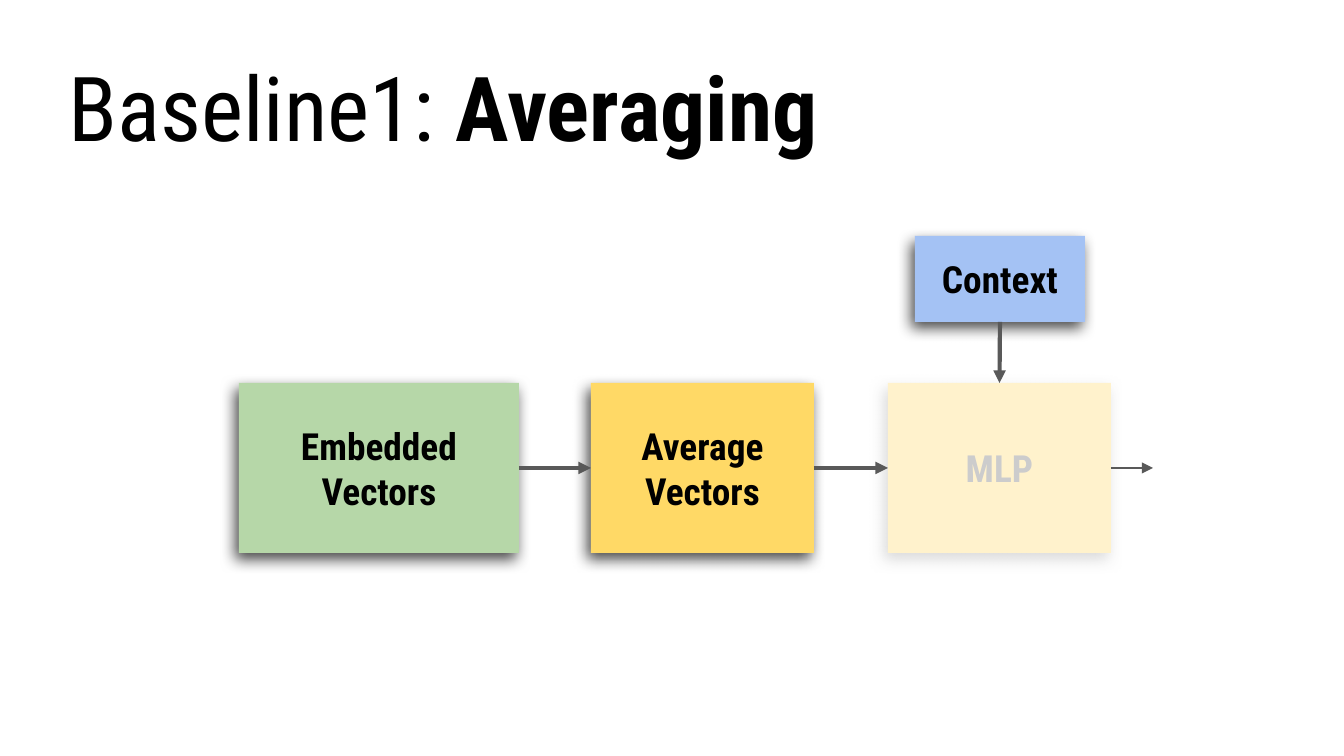
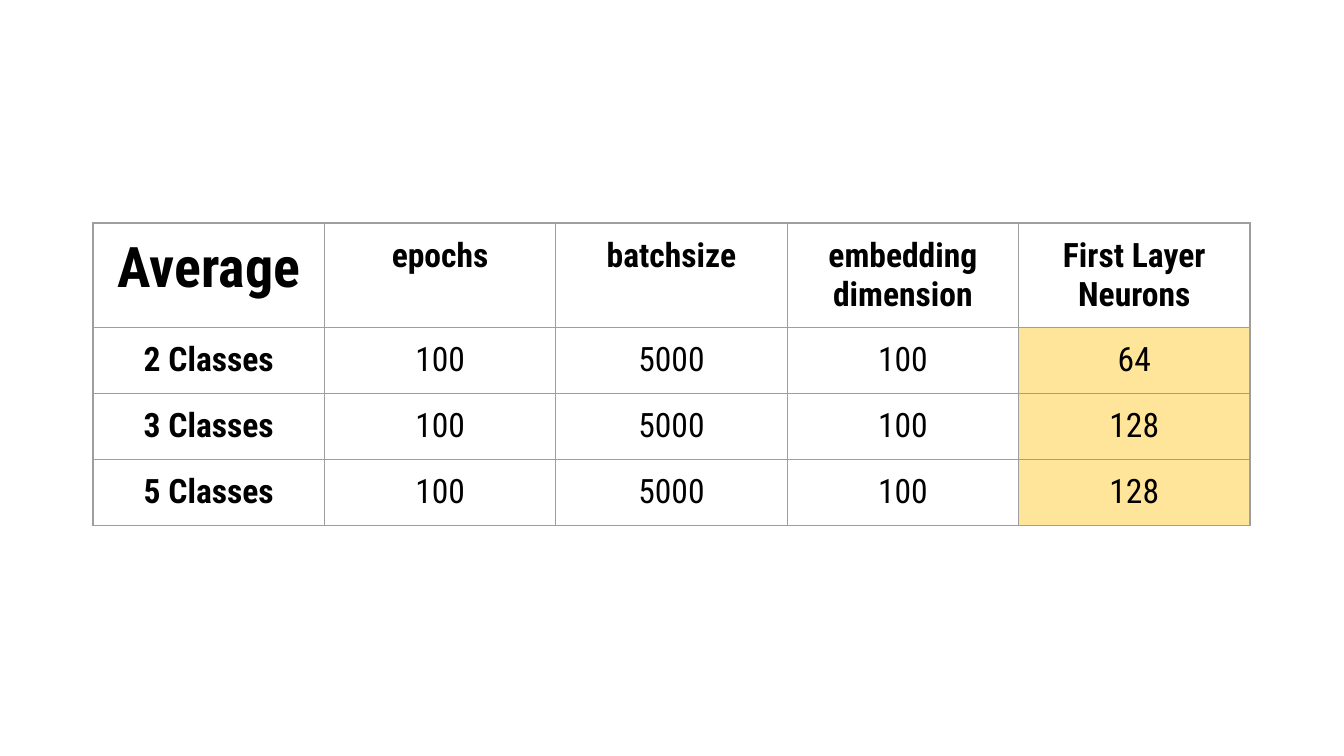
from lxml.etree import SubElement
from pptx import Presentation
from pptx.dml.color import RGBColor
from pptx.enum.shapes import MSO_CONNECTOR as Connector, MSO_SHAPE as Shape
from pptx.enum.text import MSO_ANCHOR as Anchor, PP_ALIGN as Align
from pptx.oxml.ns import qn
from pptx.util import Pt

EMU_PER_PX = 914400 / 134.4
PAGE_WIDTH, PAGE_HEIGHT = 1344, 756
INSET = 13
FONT = "Roboto Condensed"
TOP, LEFT, BOTTOM, RIGHT = range(4)

BLACK = RGBColor(0x00, 0x00, 0x00)
WHITE = RGBColor(0xFF, 0xFF, 0xFF)
ARROW_GRAY = RGBColor(0x59, 0x59, 0x59)
FADED_GRAY = RGBColor(0xCC, 0xCC, 0xCC)
BORDER_GRAY = RGBColor(0x9E, 0x9E, 0x9E)
GREEN = RGBColor(0xB6, 0xD7, 0xA8)
YELLOW = RGBColor(0xFF, 0xD9, 0x66)
PALE_YELLOW = RGBColor(0xFF, 0xF2, 0xCC)
BLUE = RGBColor(0xA4, 0xC2, 0xF4)
HIGHLIGHT = RGBColor(0xFF, 0xE5, 0x99)

TABLE_ROWS = [
    ["Average", "epochs", "batchsize", "embedding dimension", "First Layer Neurons"],
    ["2 Classes", "100", "5000", "100", "64"],
    ["3 Classes", "100", "5000", "100", "128"],
    ["5 Classes", "100", "5000", "100", "128"],
]


def px(*lengths):
    return [round(length * EMU_PER_PX) for length in lengths]


def add_span(para, text, size=20, bold=True, color=BLACK, align=None):
    para.alignment = align
    span = para.add_run()
    span.text = text
    span.font.name = FONT
    span.font.size = Pt(size)
    span.font.bold = bold
    span.font.color.rgb = color


def set_insets(holder):
    inset = px(INSET)[0]
    holder.margin_left = holder.margin_right = inset
    holder.margin_top = holder.margin_bottom = inset


def add_color(parent, color):
    fill = SubElement(parent, qn("a:solidFill"))
    return SubElement(fill, qn("a:srgbClr"), val=str(color))


def add_page(deck):
    page = deck.slides.add_slide(deck.slide_layouts[6])
    page.background.fill.solid()
    page.background.fill.fore_color.rgb = WHITE
    return page


def add_shadow(box, color):
    effects = SubElement(box._element.spPr, qn("a:effectLst"))
    shadow = SubElement(
        effects, qn("a:outerShdw"), blurRad=str(Pt(7.9)), dist=str(Pt(3.8)),
        dir=str(120 * 60000), algn="bl", rotWithShape="0")
    tint = SubElement(shadow, qn("a:srgbClr"), val=str(color))
    SubElement(tint, qn("a:alpha"), val="71000")


def add_block(page, text, left, top, width, height, fill, color=BLACK, shadow=BLACK):
    box = page.shapes.add_shape(Shape.RECTANGLE, *px(left, top, width, height))
    box.fill.solid()
    box.fill.fore_color.rgb = fill
    box.line.fill.background()
    add_shadow(box, shadow)
    frame = box.text_frame
    frame.word_wrap = True
    frame.vertical_anchor = Anchor.MIDDLE
    set_insets(frame)
    add_span(frame.paragraphs[0], text, color=color, align=Align.CENTER)
    return box


def add_arrow(page, source, side, target=None, target_side=LEFT, reach=0, weight=2.25):
    x = source.left + source.width
    y = source.top + source.height // 2
    arrow = page.shapes.add_connector(Connector.STRAIGHT, x, y, x + px(reach)[0], y)
    arrow.begin_connect(source, side)
    if target is not None:
        arrow.end_connect(target, target_side)
    arrow.line.color.rgb = ARROW_GRAY
    arrow.line.width = Pt(weight)
    SubElement(arrow.line._get_or_add_ln(), qn("a:tailEnd"), type="triangle")
    SubElement(arrow._element.spPr, qn("a:effectLst"))


def add_title(page, left, top, width, height, lead, emphasis):
    box = page.shapes.add_textbox(*px(left, top, width, height))
    frame = box.text_frame
    frame.word_wrap = True
    set_insets(frame)
    para = frame.paragraphs[0]
    add_span(para, lead, size=48, bold=False)
    add_span(para, emphasis, size=48)


def add_pipeline(page, left, top):
    row, height = top + 147, 170
    embedded = add_block(page, "Embedded Vectors", left, row, 280, height, GREEN)
    average = add_block(page, "Average Vectors", left + 352, row, 223, height, YELLOW)
    mlp = add_block(page, "MLP", left + 649, row, 223, height, PALE_YELLOW,
                    color=FADED_GRAY, shadow=FADED_GRAY)
    context = add_block(page, "Context", left + 676, top, 170, 86, BLUE)
    add_arrow(page, embedded, RIGHT, average)
    add_arrow(page, average, RIGHT, mlp)
    add_arrow(page, context, BOTTOM, mlp, TOP)
    add_arrow(page, mlp, RIGHT, reach=42, weight=0.75)


def add_borders(cell):
    properties = cell._tc.get_or_add_tcPr()
    for side in ("lnL", "lnR", "lnT", "lnB"):
        add_color(SubElement(properties, qn(f"a:{side}"), w=str(Pt(0.75))), BORDER_GRAY)


def add_settings_table(page, left, top, width, height):
    rows, columns = len(TABLE_ROWS), len(TABLE_ROWS[0])
    table = page.shapes.add_table(rows, columns, *px(left, top, width, height)).table
    table.first_row = table.horz_banding = False
    for r, texts in enumerate(TABLE_ROWS):
        for c, text in enumerate(texts):
            cell = table.cell(r, c)
            set_insets(cell)
            add_borders(cell)
            if r > 0 and c == columns - 1:
                cell.fill.solid()
                cell.fill.fore_color.rgb = HIGHLIGHT
            else:
                cell.fill.background()
            add_span(cell.text_frame.paragraphs[0], text, size=30 if r == c == 0 else 18,
                     bold=r == 0 or c == 0, align=Align.CENTER)


def main():
    deck = Presentation()
    deck.slide_width, deck.slide_height = px(PAGE_WIDTH, PAGE_HEIGHT)
    page = add_page(deck)
    add_title(page, 56, 39, 832, 101, "Baseline1: ", "Averaging")
    add_pipeline(page, 239, 236)
    add_settings_table(add_page(deck), 93, 223, 1157, 264)
    deck.save("out.pptx")


if __name__ == "__main__":
    main()
